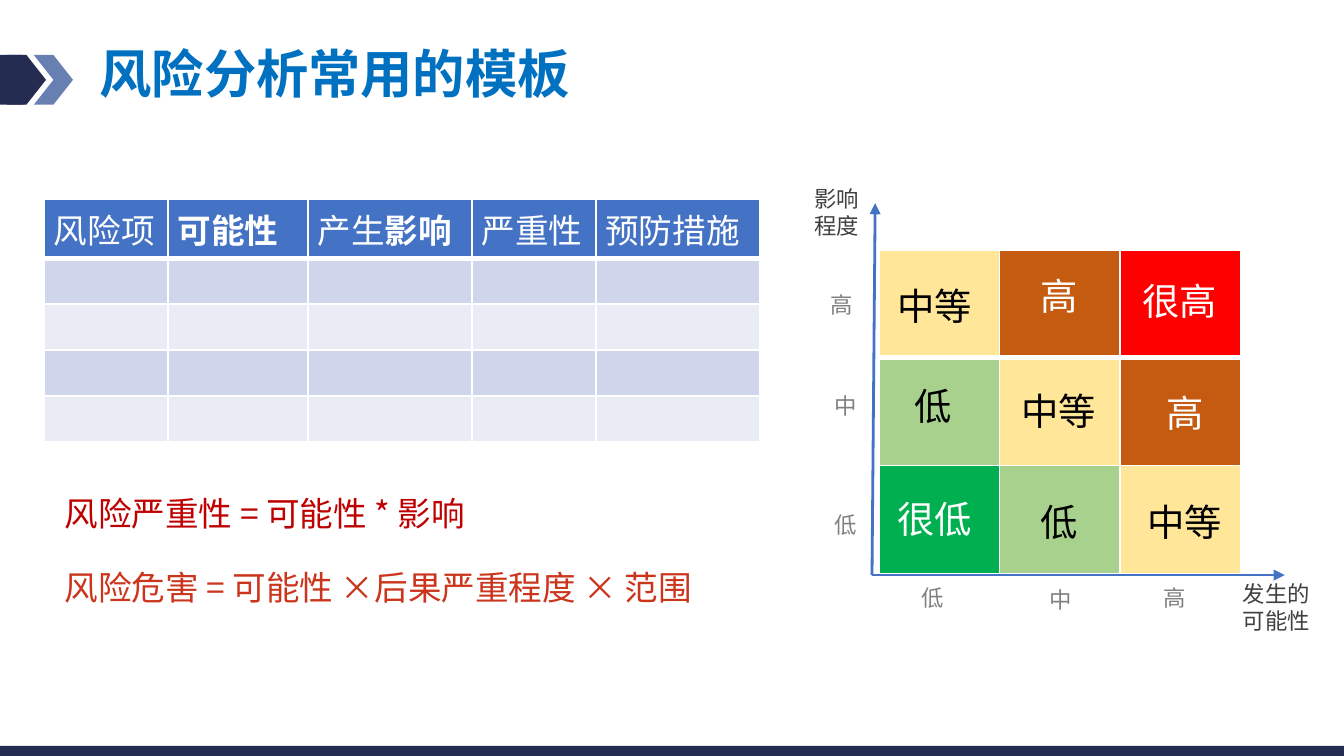
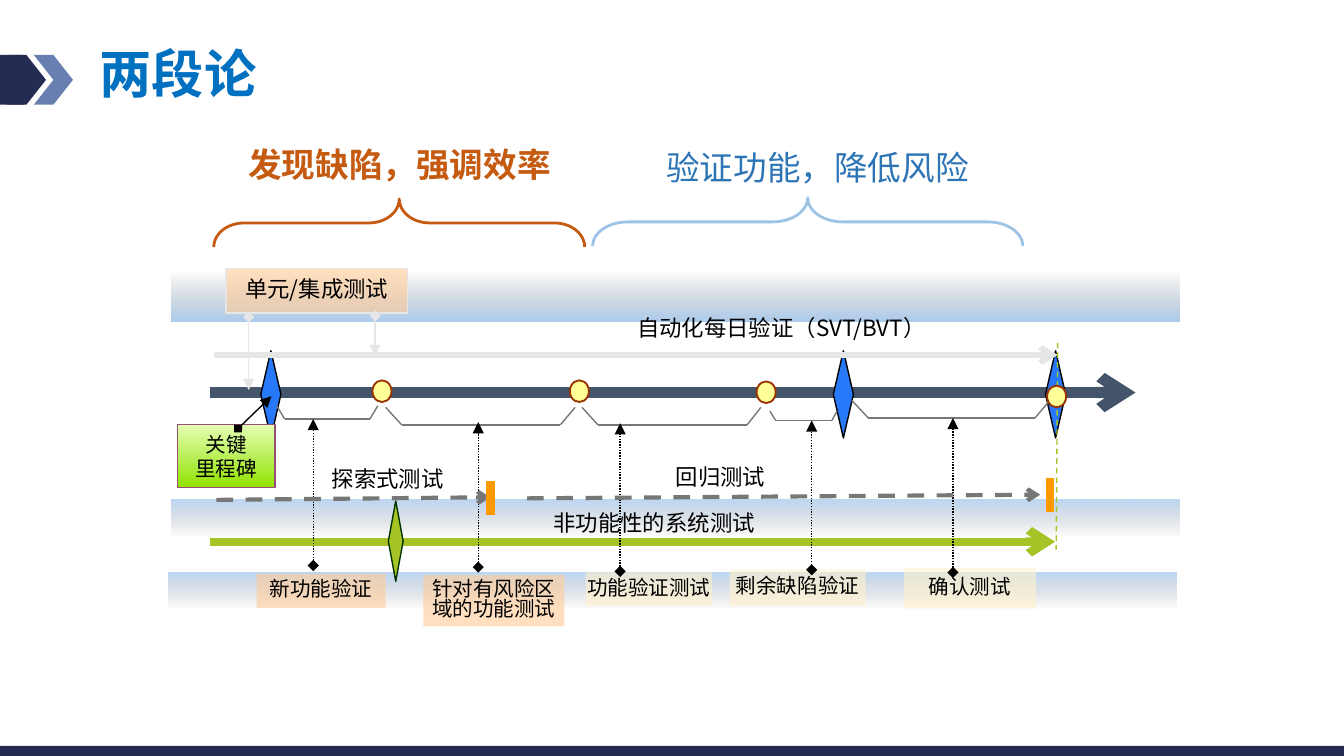
"""Build two slides on risk analysis and two-stage testing."""
import lxml.etree
import pptx
import pptx.dml.color
import pptx.enum.dml
import pptx.enum.shapes
import pptx.enum.text
import pptx.oxml.ns
import pptx.util

Cm, Pt = pptx.util.Cm, pptx.util.Pt
RGB = pptx.dml.color.RGBColor
SHAPE = pptx.enum.shapes.MSO_SHAPE
DASH = pptx.enum.dml.MSO_LINE
ALIGN = pptx.enum.text.PP_ALIGN
ANCHOR = pptx.enum.text.MSO_ANCHOR
qn = pptx.oxml.ns.qn

FONT = "Noto Sans CJK SC"
WHITE, BLACK = RGB(255, 255, 255), RGB(0, 0, 0)
NAVY, STEEL, TITLE_BLUE = RGB(0x24, 0x2C, 0x52), RGB(0x68, 0x80, 0xB1), RGB(0x00, 0x70, 0xC0)
BLUE, STRIPE, PALE = RGB(0x44, 0x72, 0xC4), RGB(0xCF, 0xD5, 0xEA), RGB(0xE9, 0xEB, 0xF5)
CRIMSON, BRICK, RED = RGB(0xC0, 0, 0), RGB(0xCA, 0x35, 0x1C), RGB(0xFF, 0, 0)
AMBER, RUST = RGB(0xFF, 0xE6, 0x99), RGB(0xC5, 0x5A, 0x11)
MINT, GREEN = RGB(0xA9, 0xD1, 0x8E), RGB(0, 0xB0, 0x50)
DARK_GREY, MID_GREY = RGB(0x40, 0x40, 0x40), RGB(0x80, 0x80, 0x80)
SLATE, SILVER, GREY = RGB(0x44, 0x54, 0x6A), RGB(0xE7, 0xE6, 0xE6), RGB(0x77, 0x77, 0x77)
BAND_BLUE, GATE_BLUE = RGB(0, 0x66, 0xCC), RGB(0x28, 0x78, 0xFA)
LIME, FOREST, ORANGE = RGB(0xA6, 0xC4, 0x26), RGB(0, 0x33, 0), RGB(0xFF, 0x99, 0)
LIME_TOP, LIME_BOTTOM, PLUM = RGB(0xE4, 0xFF, 0xB3), RGB(0x91, 0xE1, 0x01), RGB(0x95, 0x4F, 0x72)
YELLOW, BROWN = RGB(0xFF, 0xFF, 0x99), RGB(0x99, 0x33, 0)
PEACH, CREAM = RGB(0xFF, 0xCC, 0x99), RGB(0xFF, 0xF2, 0xCC)
SKY, OCEAN = RGB(0x9D, 0xC3, 0xE6), RGB(0x2E, 0x75, 0xB6)

RISK_COLUMNS = [
    (2.34, [("风险项", False)]),
    (2.64, [("可能性", True)]),
    (3.1, [("产生", False), ("影响", True)]),
    (2.34, [("严重性", False)]),
    (3.1, [("预防措施", False)]),
]
LEVELS = {
    "很低": (GREEN, WHITE),
    "低": (MINT, BLACK),
    "中等": (AMBER, BLACK),
    "高": (RUST, WHITE),
    "很高": (RED, WHITE),
}
MATRIX = [
    [("中等", 16.71, 5.23), ("高", 19.41, 5.03), ("很高", 21.34, 5.13)],
    [("低", 17.04, 7.11), ("中等", 19.05, 7.21), ("高", 21.79, 7.26)],
    [("很低", 16.71, 9.25), ("低", 19.41, 9.32), ("中等", 21.44, 9.32)],
]
AXIS_ORIGIN = (16.48, 10.87)
AXIS_ENDS = [(24.28, 10.87), (16.54, 3.84)]
AXIS_NAMES = [("发生的可能性", 23.24, 10.85, 1.8), ("影响程度", 15.14, 3.38, 1.6)]
TICKS = [
    ("低", 17.17, 10.92), ("中", 19.58, 10.95), ("高", 21.74, 10.92),
    ("低", 15.52, 9.53), ("中", 15.52, 7.29), ("高", 15.44, 5.38),
]

BANDS = [(3.18, 10.82, 0.69, True), (3.25, 5.13, 0.94, False), (3.25, 9.45, 0.69, True)]
GATES = [4.93, 15.75, 19.76]
DOTS = [(7.04, 7.19), (10.77, 7.19), (14.3, 7.21), (19.79, 7.29)]
UNIT_ARROWS = [(4.7, 5.99, 7.37), (7.09, 5.97, 6.73)]
BRACKETS = [
    ((5.23, 5.38, 6.99, 7.14), 7.67, 7.92),
    ((7.29, 7.59, 10.59, 10.87), 7.7, 8.03),
    ((11, 11.3, 14.12, 14.38), 7.7, 8.03),
    ((14.55, 14.66, 15.72, 15.82), 7.77, 7.95),
    ((16.1, 16.41, 19.56, 19.84), 7.57, 7.9),
]
TAGS = [
    ("新功能验证", (4.85, 10.85, 2.44, 0.64), PEACH),
    ("针对有风险区\n域的功能测试", (8, 10.87, 2.67, 0.97), PEACH),
    ("功能验证测试", (11.07, 10.82, 2.39, 0.64), CREAM),
    ("剩余缺陷验证", (13.79, 10.77, 2.57, 0.69), CREAM),
    ("确认测试", (17.09, 10.74, 2.49, 0.76), CREAM),
]
TAG_ARROWS = [
    (5.92, 10.69, 7.92), (9.04, 10.72, 7.98), (11.72, 10.8, 8),
    (15.34, 10.77, 7.95), (18.01, 10.82, 7.9),
]
STAGE_LABELS = [
    ("自动化每日验证（SVT/BVT）", (11.79, 5.89, 7.92, 0.69)),
    ("非功能性的系统测试", (10.21, 9.58, 5.49, 0.69)),
    ("回归测试", (12.52, 8.71, 2.36, 0.69)),
    ("探索式测试", (6.02, 8.74, 2.69, 0.69)),
]
TEST_DASHES = [((4.09, 9.45), (9.27, 9.4)), ((9.96, 9.42), (19.66, 9.35))]
STOPS = [(9.27, 9.09), (19.84, 9.04)]
PHASES = [
    ("发现缺陷，强调效率", (4.2, 2.62, 6.7, 1.12), RUST, True,
     (7.09, 0.71, 0.91, 7.01), 0.63, RUST),
    ("验证功能，降低风险", (12.1, 2.69, 6.7, 1.07), OCEAN, False,
     (14.81, 0.13, 0.91, 8.13), 0.73, SKY),
]


def style(tf, size, color, bold=False, align=ALIGN.LEFT, spacing=None):
    """Format every paragraph and run of a text frame."""
    for p in tf.paragraphs:
        p.alignment = align
        if spacing:
            p.line_spacing = spacing
        for r in p.runs:
            style_run(r, size, color, bold)


def style_run(r, size, color, bold):
    """Format one run, with the same font for East Asian text."""
    r.font.size, r.font.bold, r.font.name = Pt(size), bold, FONT
    r.font.color.rgb = color
    lxml.etree.SubElement(r.font._element, qn("a:ea"), typeface=FONT)


def add_text(s, text, box, size, color, bold=False, align=ALIGN.LEFT, spacing=None,
             wrap=True, inset=None, anchor=ANCHOR.TOP):
    """Add a text box."""
    tf = s.shapes.add_textbox(*map(Cm, box)).text_frame
    tf.word_wrap, tf.vertical_anchor = wrap, anchor
    if inset is not None:
        tf.margin_left = tf.margin_right = tf.margin_top = tf.margin_bottom = Cm(inset)
    tf.text = text
    style(tf, size, color, bold, align, spacing)


def set_alpha(fill_element, percents):
    """Set the opacity of each colour below an element."""
    for clr, percent in zip(fill_element.iter(qn("a:srgbClr")), percents):
        lxml.etree.SubElement(clr, qn("a:alpha"), val=str(percent * 1000))


def add_shape(s, kind, box, fill=None, line=None, width=0.75):
    """Add a preset shape with a plain fill, a two-colour gradient or no fill."""
    sp = s.shapes.add_shape(kind, *map(Cm, box))
    sp.shadow.inherit = False
    if fill is None:
        sp.fill.background()
    elif isinstance(fill, list):
        sp.fill.gradient()
        sp.fill.gradient_angle = 270
        for stop, color in zip(sp.fill.gradient_stops, fill):
            stop.color.rgb = color
    else:
        sp.fill.solid()
        sp.fill.fore_color.rgb = fill
    if line is None:
        sp.line.fill.background()
    else:
        sp.line.color.rgb, sp.line.width = line, Pt(width)
    return sp


def add_line(s, start, end, color, width=0.75, dash=None, head=None, tail=None):
    """Add a straight connector with optional ends."""
    cx = s.shapes.add_connector(pptx.enum.shapes.MSO_CONNECTOR.STRAIGHT,
                                *map(Cm, start + end))
    cx.line.color.rgb, cx.line.width = color, Pt(width)
    if dash:
        cx.line.dash_style = dash
    sp_pr = cx._element.spPr
    for tag, kind in (("a:headEnd", head), ("a:tailEnd", tail)):
        if kind:
            lxml.etree.SubElement(sp_pr.find(qn("a:ln")), qn(tag), type=kind)
    lxml.etree.SubElement(sp_pr, qn("a:effectLst"))


def add_tag(s, text, box, fill, size, line=None):
    """Add a translucent label."""
    sp = add_shape(s, SHAPE.RECTANGLE, box, fill, line)
    set_alpha(sp._element.spPr.find(qn("a:solidFill")), [61])
    tf = sp.text_frame
    tf.word_wrap, tf.vertical_anchor, tf.text = False, ANCHOR.MIDDLE, text
    style(tf, size, BLACK, align=ALIGN.CENTER, spacing=0.8)


def add_table(s, left, top, widths, height, fills):
    """Add a table with filled cells, white rules and a thick rule below the first row."""
    table = s.shapes.add_table(len(fills), len(widths), Cm(left), Cm(top),
                               Cm(sum(widths)), Cm(height * len(fills))).table
    for column, width in zip(table.columns, widths):
        column.width = Cm(width)
    for i, row in enumerate(fills):
        table.rows[i].height = Cm(height)
        for j, color in enumerate(row):
            cell = table.cell(i, j)
            cell.margin_left = cell.margin_right = Cm(0.18)
            cell.margin_top = cell.margin_bottom = Cm(0.1)
            tc_pr = cell._tc.get_or_add_tcPr()
            thick = {"T": i == 1, "B": i == 0}
            for side in "LRTB":
                ln = lxml.etree.SubElement(tc_pr, qn("a:ln" + side),
                                           w=str(Pt(3 if thick.get(side) else 1)))
                fill = lxml.etree.SubElement(ln, qn("a:solidFill"))
                lxml.etree.SubElement(fill, qn("a:srgbClr"), val=str(WHITE))
            cell.fill.solid()
            cell.fill.fore_color.rgb = color
            p = cell.text_frame.paragraphs[0]
            lxml.etree.SubElement(p._p, qn("a:endParaRPr"), sz="1200")
    return table


def new_slide(prs, title):
    """Add a slide with the shared title, marker and bottom band."""
    s = prs.slides.add_slide(prs.slide_layouts[5])
    add_shape(s, SHAPE.ROUNDED_RECTANGLE, (-0.38, 1.04, 0.89, 0.94), NAVY).adjustments[0] = 0.1
    for x, color in ((0.64, STEEL), (0.13, NAVY)):
        add_shape(s, SHAPE.CHEVRON, (x, 1.04, 0.74, 0.94), color)
    add_shape(s, SHAPE.RECTANGLE, (0, 14.1, 25.4, 0.33), NAVY)
    sp = s.shapes.title
    sp.left, sp.top, sp.width, sp.height = map(Cm, (1.63, 0.72, 22.68, 1.45))
    tf = sp.text_frame
    tf.text, tf.vertical_anchor = title, ANCHOR.MIDDLE
    tf.auto_size = pptx.enum.text.MSO_AUTO_SIZE.NONE
    style(tf, 28, TITLE_BLUE, True, spacing=0.9)
    return s


def build_risk(prs):
    """Build the risk table and the risk matrix."""
    s = new_slide(prs, "风险分析常用的模板")
    fills = [[color] * len(RISK_COLUMNS) for color in (BLUE, STRIPE, PALE, STRIPE, PALE)]
    table = add_table(s, 0.84, 3.76, [width for width, _ in RISK_COLUMNS], 0.87, fills)
    for j, (_, parts) in enumerate(RISK_COLUMNS):
        p = table.cell(0, j).text_frame.paragraphs[0]
        for text, bold in parts:
            r = p.add_run()
            r.text = text
            style_run(r, 18, WHITE, bold)
    add_text(s, "风险严重性 = 可能性 * 影响", (0.97, 9.19, 11.99, 1.02), 18, CRIMSON)
    add_text(s, "风险危害 = 可能性 ×后果严重程度 × 范围", (1.22, 10.72, 13.92, 0.76), 18, BRICK,
             inset=0)

    add_table(s, 16.61, 4.72, [2.28] * 3, 2.04,
              [[LEVELS[level][0] for level, _, _ in row] for row in MATRIX])
    for row in MATRIX:
        for level, x, y in row:
            add_text(s, level, (x, y, 0.51 + 0.71 * len(level), 1.12), 20, LEVELS[level][1],
                     wrap=False)
    for end in AXIS_ENDS:
        add_line(s, AXIS_ORIGIN, end, BLUE, 1.5, tail="triangle")
    for name, x, y, width in AXIS_NAMES:
        add_text(s, name, (x, y, width, 1.27), 12, DARK_GREY)
    for tick, x, y in TICKS:
        add_text(s, tick, (x, y, 0.89, 0.76), 12, MID_GREY)


def build_stages(prs):
    """Build the two-stage test timeline."""
    s = new_slide(prs, "两段论")
    for x, y, height, fades in BANDS:
        colors, alphas = ([BAND_BLUE, BLACK], [27, 0]) if fades else ([BLACK, BAND_BLUE], [0, 34])
        sp = add_shape(s, SHAPE.RECTANGLE, (x, y, 19.05, height), colors)
        set_alpha(sp._element.spPr.find(qn("a:gradFill")), alphas)
    add_line(s, (3.96, 7.42), (21.46, 7.42), SLATE, 6, tail="arrow")
    for x in GATES:
        add_shape(s, SHAPE.DIAMOND, (x, 6.63, 0.38, 1.65), GATE_BLUE, BLACK)
    sp = add_shape(s, SHAPE.FLOWCHART_PROCESS, (3.35, 8.03, 1.85, 1.19),
                   [LIME_TOP, LIME_BOTTOM], PLUM)
    sp.text_frame.text, sp.text_frame.vertical_anchor = "关键\n里程碑", ANCHOR.MIDDLE
    style(sp.text_frame, 11, BLACK, align=ALIGN.CENTER)
    add_line(s, (4.5, 8.1), (5.13, 7.49), BLACK, head="diamond", tail="triangle")

    add_tag(s, "单元/集成测试", (4.27, 5.08, 3.43, 0.84), PEACH, 12, SILVER)
    for x, top, bottom in UNIT_ARROWS:
        add_line(s, (x, top), (x, bottom), SILVER, head="diamond", tail="triangle")
    add_line(s, (4.04, 6.71), (19.99, 6.71), SILVER, 3, tail="arrow")
    add_line(s, (3.96, 10.24), (19.94, 10.24), LIME, 4.5, tail="arrow")
    add_shape(s, SHAPE.DIAMOND, (7.34, 9.47, 0.28, 1.52), LIME, FOREST)
    add_line(s, (19.99, 6.48), (19.96, 10.39), LIME, dash=DASH.DASH)
    for xs, top, bottom in BRACKETS:
        points = list(zip(xs, (top, bottom, bottom, top)))
        for start, end in zip(points, points[1:]):
            add_line(s, start, end, GREY)
    for x, y in DOTS:
        add_shape(s, SHAPE.OVAL, (x, y, 0.36, 0.41), YELLOW, BROWN, 1)
    for text, box, fill in TAGS:
        add_tag(s, text, box, fill, 11)
    for x, bottom, top in TAG_ARROWS:
        add_line(s, (x, bottom), (x, top), BLACK, dash=DASH.ROUND_DOT,
                 head="diamond", tail="triangle")
    for start, end in TEST_DASHES:
        add_line(s, start, end, GREY, 2.25, DASH.DASH, tail="arrow")
    for text, box in STAGE_LABELS:
        add_text(s, text, box, 12, BLACK, spacing=0.85)
    for x, y in STOPS:
        add_line(s, (x, y), (x, y + 0.64), ORANGE, 4.5)
    for text, box, color, bold, brace_box, curve, brace_color in PHASES:
        brace = add_shape(s, SHAPE.LEFT_BRACE, brace_box, line=brace_color, width=1.5)
        brace.rotation, brace.adjustments[0] = 90, curve
        add_text(s, text, box, 18, color, bold, ALIGN.CENTER, 0.8, False, anchor=ANCHOR.MIDDLE)


def main():
    """Build and save the presentation."""
    prs = pptx.Presentation()
    prs.slide_width, prs.slide_height = Cm(25.4), Cm(14.29)
    build_risk(prs)
    build_stages(prs)
    prs.save("out.pptx")


if __name__ == "__main__":
    main()
